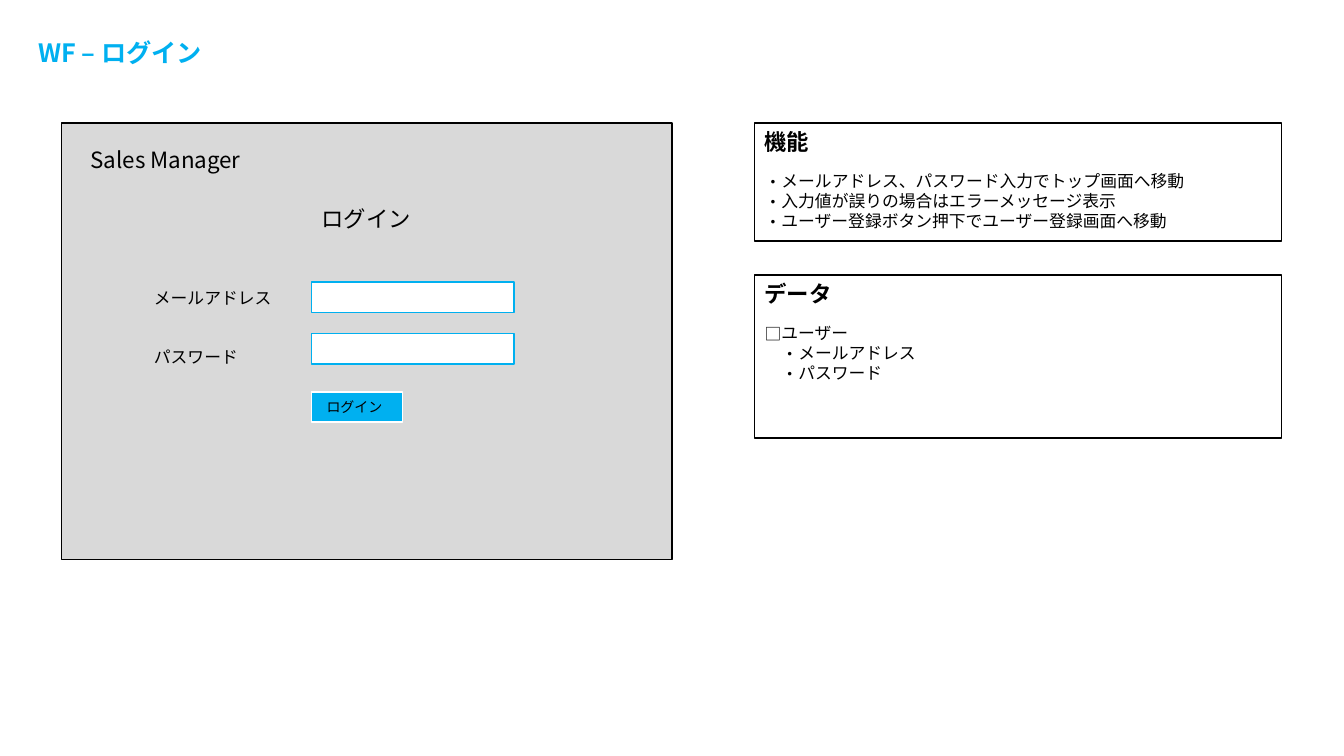
from lxml.etree import SubElement
from pptx import Presentation
from pptx.dml.color import RGBColor
from pptx.enum.shapes import MSO_SHAPE
from pptx.enum.text import MSO_ANCHOR as Anchor, MSO_AUTO_SIZE as AutoSize, PP_ALIGN as Align
from pptx.oxml.ns import qn
from pptx.util import Cm, Pt

FONT = "Noto Sans CJK JP"
BLACK, WHITE, GREY, BLUE = "000000", "FFFFFF", "D9D9D9", "00B0F0"
INDENT = Pt(12)
ROW_HEIGHT = 0.76
FRAME_FORMAT = {"word_wrap": True, "auto_size": AutoSize.NONE, "vertical_anchor": Anchor.TOP,
                "margin_left": Cm(0.25), "margin_right": Cm(0.25),
                "margin_top": Cm(0.13), "margin_bottom": Cm(0.13)}


def color(value):
    """Turn a hex string into a colour."""
    return RGBColor.from_string(value)


def apply_format(target, values):
    """Set each attribute in the dict on the target."""
    for name, value in values.items():
        setattr(target, name, value)


def place(item, box):
    """Move an item to a box of left, top, width and height in centimetres."""
    apply_format(item, dict(zip(("left", "top", "width", "height"), map(Cm, box))))


def write_line(paragraph, text, size, ink=BLACK, bold=False):
    """Write one formatted line into a paragraph."""
    apply_format(paragraph, {"alignment": Align.LEFT, "space_before": Pt(0),
                             "line_spacing": Pt(size * 1.2)})
    run = paragraph.add_run()
    run.text = text
    run.font.color.rgb = color(ink)
    apply_format(run.font, {"size": Pt(size), "bold": bold, "name": FONT})
    latin = run._r.get_or_add_rPr().find(qn("a:latin"))
    east_asian = latin.makeelement(qn("a:ea"), {"typeface": FONT})
    latin.addnext(east_asian)


def add_label(slide, box, text, size, bold=False):
    """Add a one-line text box."""
    label = slide.shapes.add_textbox(*map(Cm, box)).text_frame
    apply_format(label, FRAME_FORMAT)
    write_line(label.paragraphs[0], text, size, bold=bold)


def add_box(slide, box, fill, outline):
    """Add an outlined rectangle, filled if a fill is given."""
    rectangle = slide.shapes.add_shape(MSO_SHAPE.RECTANGLE, *map(Cm, box))
    rectangle.shadow.inherit = False
    if fill:
        rectangle.fill.solid()
        rectangle.fill.fore_color.rgb = color(fill)
    else:
        rectangle.fill.background()
    rectangle.line.color.rgb = color(outline)
    rectangle.line.width = Pt(1)
    return rectangle


def fill_title(title, box, text):
    """Place the slide title and write it."""
    place(title, box)
    apply_format(title.text_frame, FRAME_FORMAT)
    write_line(title.text_frame.paragraphs[0], text, 18, BLUE, True)


def fill_list(body, box, items):
    """Place a body placeholder and write its items of level, bullet and text."""
    place(body, box)
    frame = body.text_frame
    apply_format(frame, FRAME_FORMAT)
    for index, (level, bullet, text) in enumerate(items):
        paragraph = frame.add_paragraph() if index else frame.paragraphs[0]
        write_line(paragraph, text, 12)
        properties = paragraph._p.get_or_add_pPr()
        properties.set("marL", str(INDENT * (level + 1)))
        properties.set("indent", str(-INDENT))
        SubElement(properties, qn("a:buFont"), typeface=FONT)
        SubElement(properties, qn("a:buChar"), char=bullet)


def add_login_screen(slide, box):
    """Draw the login screen wireframe inside its box."""
    left, top, _, _ = box
    label_left, field_left = left + 2.08, left + 6.3
    add_box(slide, box, GREY, BLACK)
    add_label(slide, (left + 0.48, top + 0.46, 5, 0.94), "Sales Manager", 16)
    add_label(slide, (field_left, top + 1.93, 3.2, 0.94), "ログイン", 16)
    rows = (("メールアドレス", 4.01, 4.01), ("パスワード", 5.51, 5.31))
    for caption, label_top, field_top in rows:
        add_label(slide, (label_left, top + label_top, 3.8, ROW_HEIGHT), caption, 12)
        add_box(slide, (field_left, top + field_top, 5.11, ROW_HEIGHT), WHITE, BLUE)
    button = add_box(slide, (field_left, top + 6.78, 2.29, ROW_HEIGHT), BLUE, WHITE).text_frame
    apply_format(button, FRAME_FORMAT | {"vertical_anchor": Anchor.MIDDLE,
                                         "margin_left": Cm(0.38), "margin_right": Cm(0)})
    write_line(button.paragraphs[0], "ログイン", 10)


def add_notes_panel(slide, box, heading, body, items):
    """Draw an outlined panel with a heading and a list."""
    left, top, width, height = box
    add_box(slide, box, None, BLACK)
    add_label(slide, (left, top, 4, 0.94), heading, 16, True)
    fill_list(body, (left, top + 1.07, width, height - 1.07), items)


def main():
    """Build the login wireframe slide."""
    deck = Presentation()
    apply_format(deck, {"slide_width": Cm(33.87), "slide_height": Cm(19.05)})
    slide = deck.slides.add_slide(deck.slide_layouts[3])
    title, functions, data = slide.placeholders
    fill_title(title, (0.71, 0.81, 4.7, 1.8), "WF – ログイン")
    add_login_screen(slide, (1.55, 3.1, 15.39, 11))
    add_notes_panel(slide, (19.02, 3.1, 13.28, 2.97), "機能", functions, (
        (0, "・", "メールアドレス、パスワード入力でトップ画面へ移動"),
        (0, "・", "入力値が誤りの場合はエラーメッセージ表示"),
        (0, "・", "ユーザー登録ボタン押下でユーザー登録画面へ移動")))
    add_notes_panel(slide, (19.02, 6.93, 13.28, 4.11), "データ", data, (
        (0, "□", "ユーザー"),
        (1, "・", "メールアドレス"),
        (1, "・", "パスワード")))
    deck.save("out.pptx")


if __name__ == "__main__":
    main()
